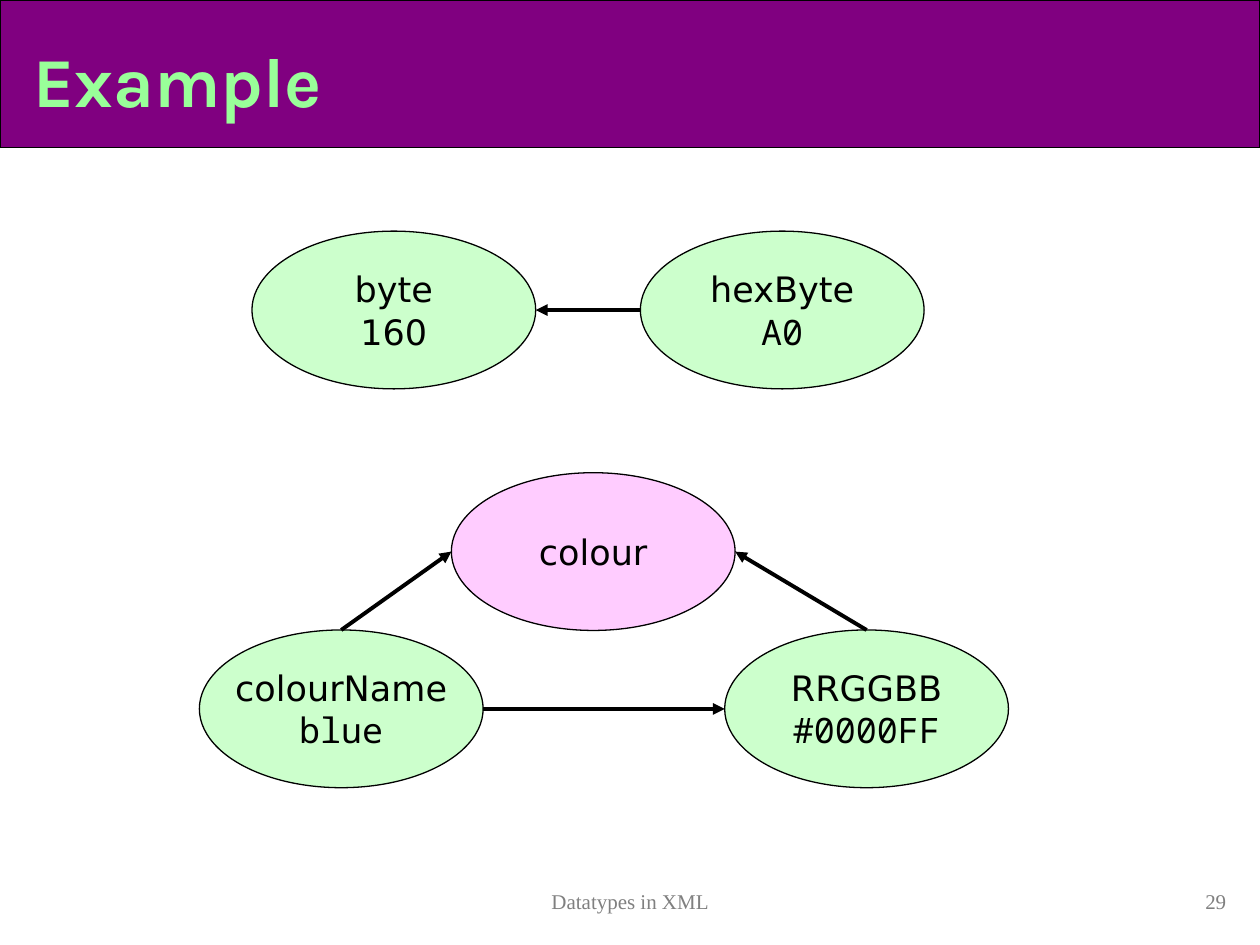
from lxml import etree
from pptx import Presentation
from pptx.dml.color import RGBColor
from pptx.enum.shapes import MSO_CONNECTOR, MSO_SHAPE
from pptx.enum.text import MSO_ANCHOR, PP_ALIGN
from pptx.oxml.ns import qn
from pptx.util import Cm, Pt

SANS, MONO, SERIF = "DejaVu Sans", "Noto Sans Mono", "Times New Roman"
BLACK, GREEN, PINK, GREY = "000000", "CCFFCC", "FFCCFF", "808080"
OVAL_WIDTH, OVAL_HEIGHT = 5.72, 3.18


def color(hex_string):
    return RGBColor.from_string(hex_string)


def write_line(para, text, font, size, hex_string, align, bold=False):
    para.alignment = align
    span = para.add_run()
    span.text = text
    span.font.name = font
    span.font.size = Pt(size)
    span.font.bold = bold
    span.font.color.rgb = color(hex_string)


def add_shape(page, kind, left, top, width, height, fill):
    shape = page.shapes.add_shape(kind, Cm(left), Cm(top), Cm(width), Cm(height))
    shape.shadow.inherit = False
    shape.fill.solid()
    shape.fill.fore_color.rgb = color(fill)
    shape.line.color.rgb = color(BLACK)
    shape.line.width = Pt(0.75)
    return shape


def add_text(page, left, top, width, height, text, font, size, hex_string,
             align, anchor=MSO_ANCHOR.TOP, bold=False):
    box = page.shapes.add_textbox(Cm(left), Cm(top), Cm(width), Cm(height))
    frame = box.text_frame
    frame.word_wrap = True
    frame.vertical_anchor = anchor
    write_line(frame.paragraphs[0], text, font, size, hex_string, align, bold)


def add_oval(page, left, top, fill, lines):
    """Draw a datatype oval; lines holds (text, font) pairs."""
    oval = add_shape(page, MSO_SHAPE.OVAL, left, top, OVAL_WIDTH, OVAL_HEIGHT, fill)
    frame = oval.text_frame
    frame.word_wrap = False
    frame.vertical_anchor = MSO_ANCHOR.MIDDLE
    for index, (text, font) in enumerate(lines):
        para = frame.add_paragraph() if index else frame.paragraphs[0]
        write_line(para, text, font, 20, BLACK, PP_ALIGN.CENTER)
    return oval


def side(oval, name):
    """Return the point in the middle of one side of an oval."""
    across, down = {"left": (0, 0.5), "right": (1, 0.5), "top": (0.5, 0)}[name]
    return (int(oval.left + across * oval.width),
            int(oval.top + down * oval.height))


def add_arrow(page, start, end):
    arrow = page.shapes.add_connector(MSO_CONNECTOR.STRAIGHT, *start, *end)
    arrow.line.color.rgb = color(BLACK)
    arrow.line.width = Pt(2.25)
    etree.SubElement(arrow.line._get_or_add_ln(), qn("a:tailEnd"), type="triangle")
    etree.SubElement(arrow._element.spPr, qn("a:effectLst"))


def main():
    deck = Presentation()
    deck.slide_width, deck.slide_height = Cm(25.4), Cm(19.05)
    page = deck.slides.add_slide(deck.slide_layouts[6])

    # Title band
    add_shape(page, MSO_SHAPE.RECTANGLE, 0, 0, 25.4, 2.97, "800080")
    add_text(page, 0.43, 0.43, 24.33, 2.34, "Example", "Karla", 40, "99FF99",
             PP_ALIGN.LEFT, MSO_ANCHOR.MIDDLE, bold=True)

    # Datatypes with their sample values
    colour_name = add_oval(page, 4.02, 12.7, GREEN, [("colourName", SANS), ("blue", MONO)])
    rgb = add_oval(page, 14.61, 12.7, GREEN, [("RRGGBB", SANS), ("#0000FF", MONO)])
    colour = add_oval(page, 9.1, 9.53, PINK, [("colour", SANS)])
    hex_byte = add_oval(page, 12.91, 4.66, GREEN, [("hexByte", SANS), ("A0", MONO)])
    byte = add_oval(page, 5.08, 4.66, GREEN, [("byte", SANS), ("160", SANS)])

    # Mappings between datatypes
    add_arrow(page, side(colour_name, "top"), side(colour, "left"))
    add_arrow(page, side(rgb, "top"), side(colour, "right"))
    add_arrow(page, side(colour_name, "right"), side(rgb, "left"))
    add_arrow(page, side(hex_byte, "left"), side(byte, "right"))

    # Footer
    add_text(page, 6.14, 17.78, 13.13, 0.84, "Datatypes in XML", SERIF, 12, GREY,
             PP_ALIGN.CENTER)
    add_text(page, 19.69, 17.78, 5.28, 0.84, "29", SERIF, 12, GREY, PP_ALIGN.RIGHT)

    deck.save("out.pptx")


if __name__ == "__main__":
    main()
